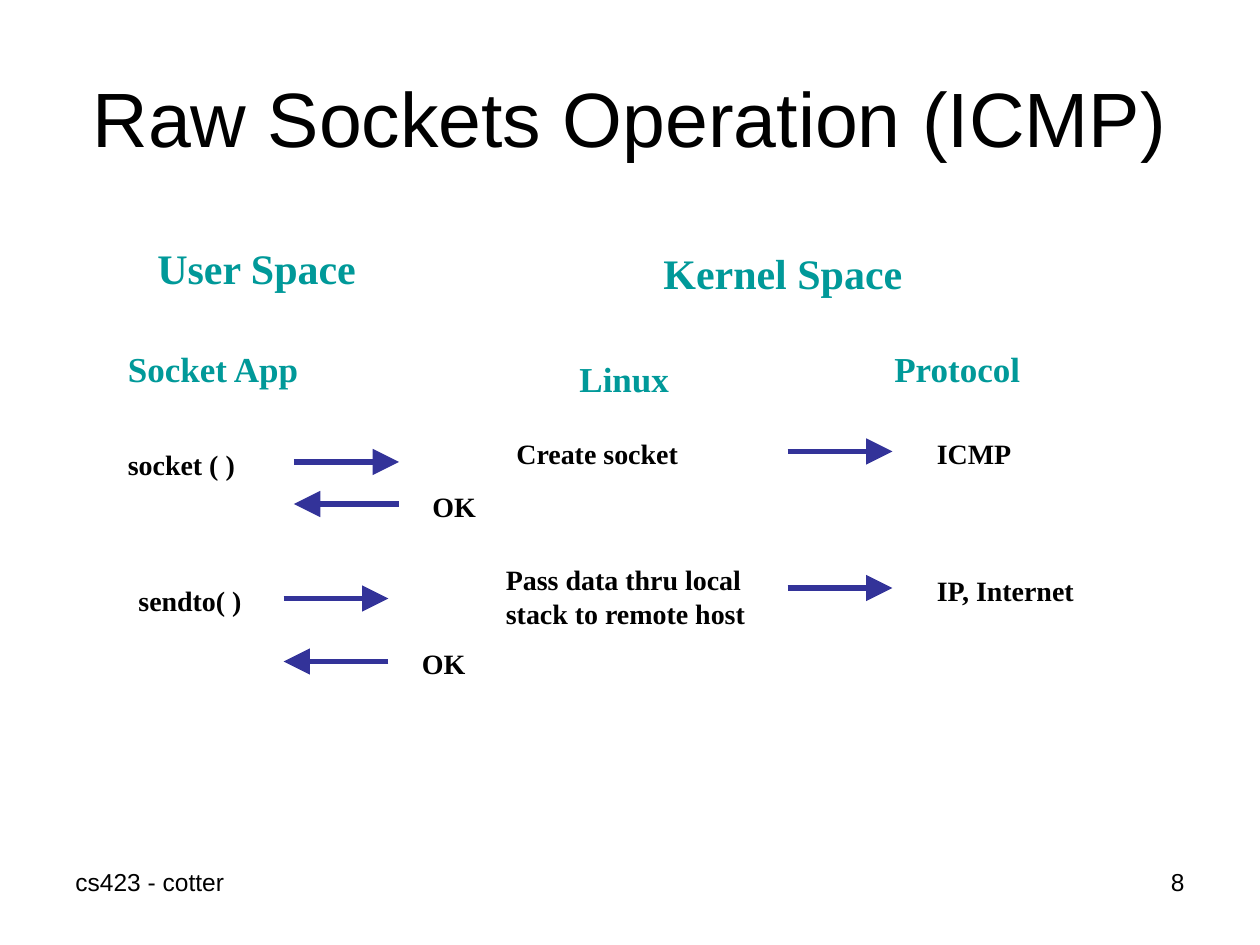
"""Build the slide on raw socket operation for ICMP."""
from dataclasses import dataclass

from lxml import etree
from pptx import Presentation
from pptx.dml.color import RGBColor
from pptx.enum.shapes import MSO_CONNECTOR
from pptx.enum.text import MSO_ANCHOR, MSO_AUTO_SIZE, PP_ALIGN
from pptx.oxml.ns import qn
from pptx.slide import Slide
from pptx.text.text import TextFrame
from pptx.util import Pt

LEFT, CENTER, RIGHT = PP_ALIGN.LEFT, PP_ALIGN.CENTER, PP_ALIGN.RIGHT
MIDDLE = MSO_ANCHOR.MIDDLE
FIXED, GROW = MSO_AUTO_SIZE.NONE, MSO_AUTO_SIZE.SHAPE_TO_FIT_TEXT
STRAIGHT = MSO_CONNECTOR.STRAIGHT


@dataclass(frozen=True)
class Style:
    font: str
    size: float
    color: RGBColor
    bold: bool = False


@dataclass(frozen=True)
class Theme:
    black = RGBColor(0x00, 0x00, 0x00)
    teal = RGBColor(0x00, 0x99, 0x99)
    blue = RGBColor(0x33, 0x33, 0x99)
    title = Style("Arial", 44, black)
    foot = Style("Arial", 14, black)
    space = Style("Times New Roman", 24, teal, True)
    role = Style("Times New Roman", 20, teal, True)
    step = Style("Times New Roman", 16, black, True)
    line = 3


THEME = Theme()


@dataclass(frozen=True)
class Label:
    text: str
    left: float
    top: float
    width: float
    height: float
    style: Style
    wrap: bool = False
    align: PP_ALIGN = LEFT
    fit: MSO_AUTO_SIZE = GROW


@dataclass(frozen=True)
class Arrow:
    start: float
    end: float
    y: float


LABELS = (
    Label("cs423 - cotter", 36, 492, 168, 37.5, THEME.foot, True, LEFT, FIXED),
    Label("8", 516, 492, 168, 37.5, THEME.foot, True, RIGHT, FIXED),
    Label("User Space", 82.8, 135, 128, 36, THEME.space),
    Label("Kernel Space", 372, 138, 151, 36, THEME.space),
    Label("Socket App", 66, 195, 113, 31.5, THEME.role),
    Label("Linux", 324, 200.5, 65.5, 31.5, THEME.role),
    Label("Protocol", 504, 195, 86.5, 31.5, THEME.role),
    Label("socket ( )", 66, 252, 96, 26.5, THEME.step, True),
    Label("Create socket", 288, 246, 106.5, 26.5, THEME.step),
    Label("ICMP", 528.25, 246, 57, 26.5, THEME.step),
    Label("OK", 240, 276, 54, 26.5, THEME.step, True),
    Label("sendto( )", 72, 330, 96, 26.5, THEME.step, True),
    Label("Pass data thru local\nstack to remote host",
          282, 318, 151, 46, THEME.step),
    Label("IP, Internet", 528.25, 324, 94.5, 26.5, THEME.step),
    Label("OK", 234, 366, 54, 26.5, THEME.step, True),
)

ARROWS = (
    Arrow(168, 228, 264),
    Arrow(450, 510, 258),
    Arrow(228, 168, 288),
    Arrow(162, 222, 342),
    Arrow(450, 510, 336),
    Arrow(222, 162, 378),
)


def write(frame: TextFrame, text: str, style: Style, align: PP_ALIGN) -> None:
    """Fill a frame with one styled run for each line of text."""
    for index, line in enumerate(text.split("\n")):
        para = frame.add_paragraph() if index else frame.paragraphs[0]
        para.alignment = align
        run = para.add_run()
        run.text = line
        run.font.name = style.font
        run.font.size = Pt(style.size)
        run.font.bold = style.bold
        run.font.color.rgb = style.color


def draw_title(slide: Slide, text: str) -> None:
    """Place and fill the title."""
    title = slide.shapes.title
    title.left, title.top = Pt(36), Pt(21.6)
    title.width, title.height = Pt(648), Pt(90)
    frame = title.text_frame
    frame.auto_size = FIXED
    frame.vertical_anchor = MIDDLE
    write(frame, text, THEME.title, CENTER)


def draw_label(slide: Slide, label: Label) -> None:
    """Add a text box for a label."""
    box = slide.shapes.add_textbox(Pt(label.left), Pt(label.top),
                                   Pt(label.width), Pt(label.height))
    frame = box.text_frame
    frame.word_wrap = label.wrap
    frame.auto_size = label.fit
    write(frame, label.text, label.style, label.align)


def draw_arrow(slide: Slide, arrow: Arrow) -> None:
    """Add a level line with a large head at its end."""
    line = slide.shapes.add_connector(STRAIGHT, Pt(arrow.start), Pt(arrow.y),
                                      Pt(arrow.end), Pt(arrow.y))
    line.line.color.rgb = THEME.blue
    line.line.width = Pt(THEME.line)
    etree.SubElement(line.line._get_or_add_ln(), qn("a:tailEnd"),
                     type="triangle", w="lg", len="lg")
    etree.SubElement(line._element.spPr, qn("a:effectLst"))


def main() -> None:
    """Build and save the deck."""
    deck = Presentation()
    deck.slide_width, deck.slide_height = Pt(720), Pt(540)
    slide = deck.slides.add_slide(deck.slide_layouts.get_by_name("Title Only"))
    draw_title(slide, "Raw Sockets Operation (ICMP)")
    for label in LABELS:
        draw_label(slide, label)
    for arrow in ARROWS:
        draw_arrow(slide, arrow)
    deck.save("out.pptx")


if __name__ == "__main__":
    main()
